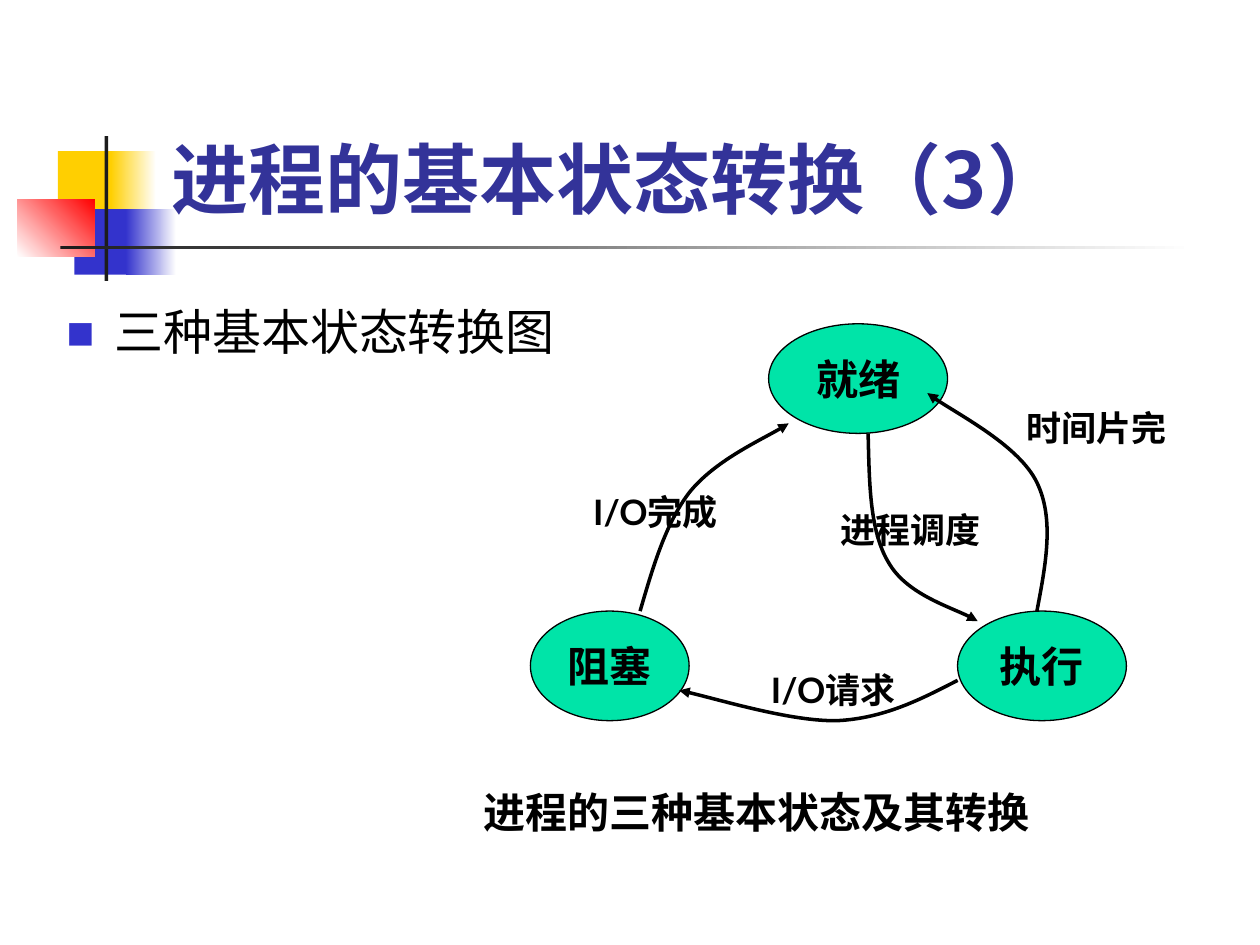
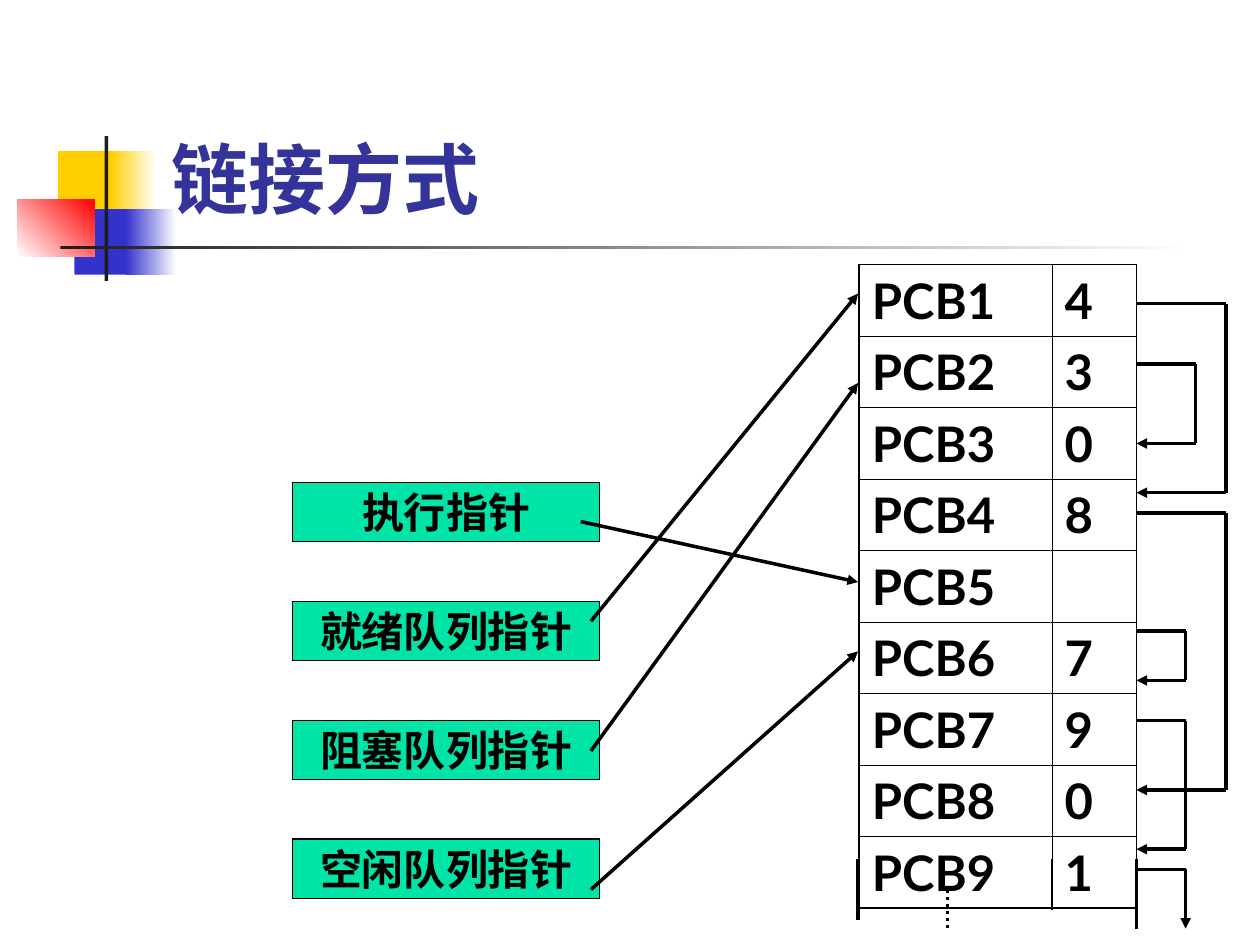
from dataclasses import dataclass
from itertools import pairwise

from lxml.etree import SubElement
from pptx import Presentation
from pptx.dml.color import RGBColor
from pptx.enum.dml import MSO_LINE
from pptx.enum.shapes import MSO_CONNECTOR, MSO_SHAPE
from pptx.enum.text import MSO_ANCHOR, PP_ALIGN
from pptx.oxml import parse_xml
from pptx.oxml.ns import nsdecls, qn
from pptx.util import Inches, Pt


@dataclass(frozen=True)
class Theme:
    black: str = "000000"
    white: str = "FFFFFF"
    yellow: str = "FFCF01"
    blue: str = "3333CC"
    red: str = "FF0000"
    charcoal: str = "1C1C1C"
    title: str = "333399"
    node: str = "00E4A8"
    latin_font: str = "Lato"
    chinese_font: str = "Noto Sans CJK SC"
    title_size: float = 44
    body_size: float = 28
    node_size: float = 24
    label_size: float = 20
    outline: float = 0.75
    arrow: float = 2
    outer_border: float = 1.08
    inner_border: float = 0.45


THEME = Theme()

# Shared decoration: left, top, width, height, colours (two make a gradient), angle
DECORATION = [
    (0.46, 1.2, 0.48, 0.52, [THEME.yellow], 0),
    (0.88, 1.2, 0.36, 0.52, [THEME.yellow, THEME.white], 0),
    (0.59, 1.66, 0.46, 0.52, [THEME.blue], 0),
    (1, 1.66, 0.4, 0.52, [THEME.blue, THEME.white], 0),
    (0.14, 1.58, 0.61, 0.46, [THEME.white, THEME.red], 45),
    (0.83, 1.08, 0.03, 1.15, [THEME.charcoal], 0),
    (0.48, 1.95, 9, 0.03, [THEME.charcoal, THEME.white], 0),
]
TITLE_BOX = (1.26, 0.23, 8.52, 1.6)

# Slide 1: state diagram
STATE_TITLE = "进程的基本状态转换（3）"
STATE_BULLET = ("三种基本状态转换图", (0.43, 2.25, 6.46, 2.28))
STATES = [
    ("就绪", (6.1, 2.57, 1.42, 0.87)),
    ("阻塞", (4.21, 4.85, 1.26, 0.87)),
    ("执行", (7.6, 4.85, 1.34, 0.87)),
]
# Each transition: start point, then three points for each Bézier segment
TRANSITIONS = [
    [(5.08, 4.85), (5.18, 4.51), (5.28, 4.16), (5.47, 3.91),
     (5.67, 3.66), (6.13, 3.45), (6.26, 3.36)],
    [(7.6, 5.4), (7.31, 5.55), (7.02, 5.7), (6.65, 5.72),
     (6.29, 5.73), (5.6, 5.52), (5.39, 5.48)],
    [(6.89, 3.44), (6.9, 3.82), (6.9, 4.21), (7.05, 4.46),
     (7.19, 4.71), (7.64, 4.85), (7.76, 4.93)],
    [(8.23, 4.85), (8.3, 4.48), (8.37, 4.12), (8.23, 3.83),
     (8.09, 3.54), (7.51, 3.24), (7.36, 3.12)],
]
TRANSITION_LABELS = [
    ("时间片完", (8.05, 3.18, 1.52, 0.44)),
    ("进程调度", (6.57, 3.99, 1.42, 0.44)),
    ("I/O请求", (6.02, 5.26, 1.42, 0.44)),
    ("I/O完成", (4.61, 3.84, 1.34, 0.44)),
]
CAPTION = ("进程的三种基本状态及其转换", (3.74, 6.19, 5.91, 0.5))

# Slide 2: linked process control blocks
LINK_TITLE = "链接方式"
LINKS = ["4", "3", "0", "8", "", "7", "9", "0", "1"]
TABLE_BOX = (6.82, 2.1, 2.2, 5.1)
COLUMN_WIDTHS = (1.53, 0.67)
TABLE_RIGHT = TABLE_BOX[0] + TABLE_BOX[2]
# Each pointer: text, arrow start, y where the arrow meets the table
POINTERS = [
    ("执行指针", (4.61, 4.14), 4.62),
    ("就绪队列指针", (4.69, 4.93), 2.33),
    ("阻塞队列指针", (4.69, 5.96), 3.04),
    ("空闲队列指针", (4.69, 7.06), 5.17),
]
POINTER_LEFT, POINTER_TOP, POINTER_STEP = 2.32, 3.83, 0.943
POINTER_SIZE = (2.44, 0.47)
ARROW_END = 6.81
# Each link bracket: start y, x reached, end y
BRACKETS = [(2.41, 9.73, 3.91), (2.89, 9.49, 3.52), (4.07, 9.73, 6.27),
            (5.01, 9.41, 5.4), (5.72, 9.41, 6.74)]
LAST_BRACKET = [(TABLE_RIGHT, 6.9), (9.41, 6.9), (9.41, 7.37)]
# Lines running on below the table: x, top, bottom, width, dash
CONTINUATIONS = [
    (6.81, 6.82, 7.3, THEME.arrow, None),
    (8.35, 6.82, 7.22, THEME.outline, None),
    (TABLE_RIGHT, 6.82, 7.37, THEME.arrow, None),
    (7.52, 7.06, 7.37, THEME.arrow, MSO_LINE.ROUND_DOT),
]


def inches(values):
    return [Inches(value) for value in values]


def rgb(color):
    return RGBColor.from_string(color)


def set_attributes(target, formats):
    for name, value in formats.items():
        setattr(target, name, value)


def write(frame, text, size, color=THEME.black, bold=True, latin=THEME.latin_font,
          align=PP_ALIGN.LEFT):
    paragraph = frame.paragraphs[0]
    paragraph.alignment = align
    run = paragraph.add_run()
    run.text = text
    set_attributes(run.font, {"size": Pt(size), "bold": bold, "name": latin})
    run.font.color.rgb = rgb(color)
    SubElement(run.font._element, qn("a:ea"), typeface=THEME.chinese_font)
    return paragraph


def add_text(slide, text, box, size, anchor=MSO_ANCHOR.TOP, **style):
    frame = slide.shapes.add_textbox(*inches(box)).text_frame
    set_attributes(frame, {"word_wrap": True, "vertical_anchor": anchor})
    return write(frame, text, size, **style)


def add_node(slide, preset, text, box):
    shape = slide.shapes.add_shape(preset, *inches(box))
    shape.shadow.inherit = False
    shape.fill.solid()
    shape.fill.fore_color.rgb = rgb(THEME.node)
    style_line(shape.line, THEME.outline)
    set_attributes(shape.text_frame,
                   {"word_wrap": False, "vertical_anchor": MSO_ANCHOR.MIDDLE})
    write(shape.text_frame, text, THEME.node_size, align=PP_ALIGN.CENTER)


def style_line(line, width, dash=None, arrow=False):
    line.color.rgb = rgb(THEME.black)
    set_attributes(line, {"width": Pt(width), "dash_style": dash})
    if arrow:
        SubElement(line._get_or_add_ln(), qn("a:tailEnd"), type="triangle")


def add_line(slide, start, end, width=THEME.arrow, dash=None, arrow=False):
    connector = slide.shapes.add_connector(
        MSO_CONNECTOR.STRAIGHT, *inches(start), *inches(end))
    style_line(connector.line, width, dash, arrow)
    SubElement(connector._element.spPr, qn("a:effectLst"))


def add_polyline_arrow(slide, points):
    for start, end in pairwise(points):
        add_line(slide, start, end, arrow=end == points[-1])


def add_curved_arrow(slide, points):
    """Draw the points as a freeform, then turn each three segments into one Bézier."""
    start, *others = [tuple(inches(point)) for point in points]
    builder = slide.shapes.build_freeform(*start)
    builder.add_line_segments(others, close=False)
    shape = builder.convert_to_shape()
    shape.shadow.inherit = False
    shape.fill.background()
    style_line(shape.line, THEME.arrow, arrow=True)
    outline = next(shape._element.iter(qn("a:path")))
    segments = outline.findall(qn("a:lnTo"))
    for first in range(0, len(segments), 3):
        curve = SubElement(outline, qn("a:cubicBezTo"))
        for segment in segments[first:first + 3]:
            curve.append(segment[0])
            outline.remove(segment)


def add_base_slide(presentation, title):
    slide = presentation.slides.add_slide(presentation.slide_layouts[6])
    for *box, colors, angle in DECORATION:
        shape = slide.shapes.add_shape(MSO_SHAPE.RECTANGLE, *inches(box))
        shape.shadow.inherit = False
        shape.line.fill.background()
        if len(colors) == 1:
            shape.fill.solid()
            shape.fill.fore_color.rgb = rgb(colors[0])
        else:
            shape.fill.gradient()
            shape.fill.gradient_angle = angle
            for stop, color in zip(shape.fill.gradient_stops, colors):
                stop.color.rgb = rgb(color)
    add_text(slide, title, TITLE_BOX, THEME.title_size, MSO_ANCHOR.BOTTOM,
             color=THEME.title, latin=THEME.chinese_font)
    return slide


def add_square_bullet(paragraph):
    properties = paragraph._p.get_or_add_pPr()
    properties.set("marL", str(Inches(0.38)))
    properties.set("indent", str(Inches(-0.38)))
    color = SubElement(properties, qn("a:buClr"))
    SubElement(color, qn("a:srgbClr"), val=THEME.blue)
    SubElement(properties, qn("a:buSzPct"), val="60000")
    SubElement(properties, qn("a:buFont"), typeface=THEME.latin_font)
    SubElement(properties, qn("a:buChar"), char="■")


def set_borders(cell, widths):
    """Give a cell its borders, with widths in the order left, right, top, bottom."""
    properties = cell._tc.get_or_add_tcPr()
    for index, (side, width) in enumerate(zip("LRTB", widths)):
        properties.insert(index, parse_xml(
            f'<a:ln{side} {nsdecls("a")} w="{Pt(width)}"><a:solidFill>'
            f'<a:srgbClr val="{THEME.black}"/></a:solidFill></a:ln{side}>'))


def add_block_table(slide):
    rows = [(f"PCB{number}", link) for number, link in enumerate(LINKS, 1)]
    last_row, last_column = len(rows) - 1, len(COLUMN_WIDTHS) - 1
    table = slide.shapes.add_table(
        len(rows), len(COLUMN_WIDTHS), *inches(TABLE_BOX)).table
    set_attributes(table, {"first_row": False, "horz_banding": False})
    for column, width in zip(table.columns, COLUMN_WIDTHS):
        column.width = Inches(width)
    for row_index, row in enumerate(rows):
        for column_index, text in enumerate(row):
            cell = table.cell(row_index, column_index)
            cell.fill.background()
            outer_sides = (column_index == 0, column_index == last_column,
                           row_index == 0, row_index == last_row)
            set_borders(cell, [THEME.outer_border if outer else THEME.inner_border
                               for outer in outer_sides])
            if text:
                write(cell.text_frame, text, THEME.body_size)


def build_state_slide(presentation):
    slide = add_base_slide(presentation, STATE_TITLE)
    text, box = STATE_BULLET
    paragraph = add_text(slide, text, box, THEME.body_size, bold=False,
                         latin=THEME.chinese_font, align=PP_ALIGN.JUSTIFY)
    set_attributes(paragraph, {"line_spacing": 1.2, "space_after": Pt(7)})
    add_square_bullet(paragraph)
    for state, box in STATES:
        add_node(slide, MSO_SHAPE.OVAL, state, box)
    for points in TRANSITIONS:
        add_curved_arrow(slide, points)
    for label, box in TRANSITION_LABELS:
        add_text(slide, label, box, THEME.label_size)
    add_text(slide, *CAPTION, THEME.node_size)


def build_link_slide(presentation):
    slide = add_base_slide(presentation, LINK_TITLE)
    for index, (text, _, _) in enumerate(POINTERS):
        top = POINTER_TOP + index * POINTER_STEP
        add_node(slide, MSO_SHAPE.RECTANGLE, text, (POINTER_LEFT, top, *POINTER_SIZE))
    add_block_table(slide)
    for start_y, reach, end_y in BRACKETS:
        add_polyline_arrow(slide, [(TABLE_RIGHT, start_y), (reach, start_y),
                                   (reach, end_y), (TABLE_RIGHT, end_y)])
    add_polyline_arrow(slide, LAST_BRACKET)
    for x, top, bottom, width, dash in CONTINUATIONS:
        add_line(slide, (x, top), (x, bottom), width, dash)
    for _, start, end_y in POINTERS:
        add_line(slide, start, (ARROW_END, end_y), arrow=True)


def main():
    presentation = Presentation()
    set_attributes(presentation, {"slide_width": Inches(10), "slide_height": Inches(7.5)})
    build_state_slide(presentation)
    build_link_slide(presentation)
    presentation.save("out.pptx")


if __name__ == "__main__":
    main()
